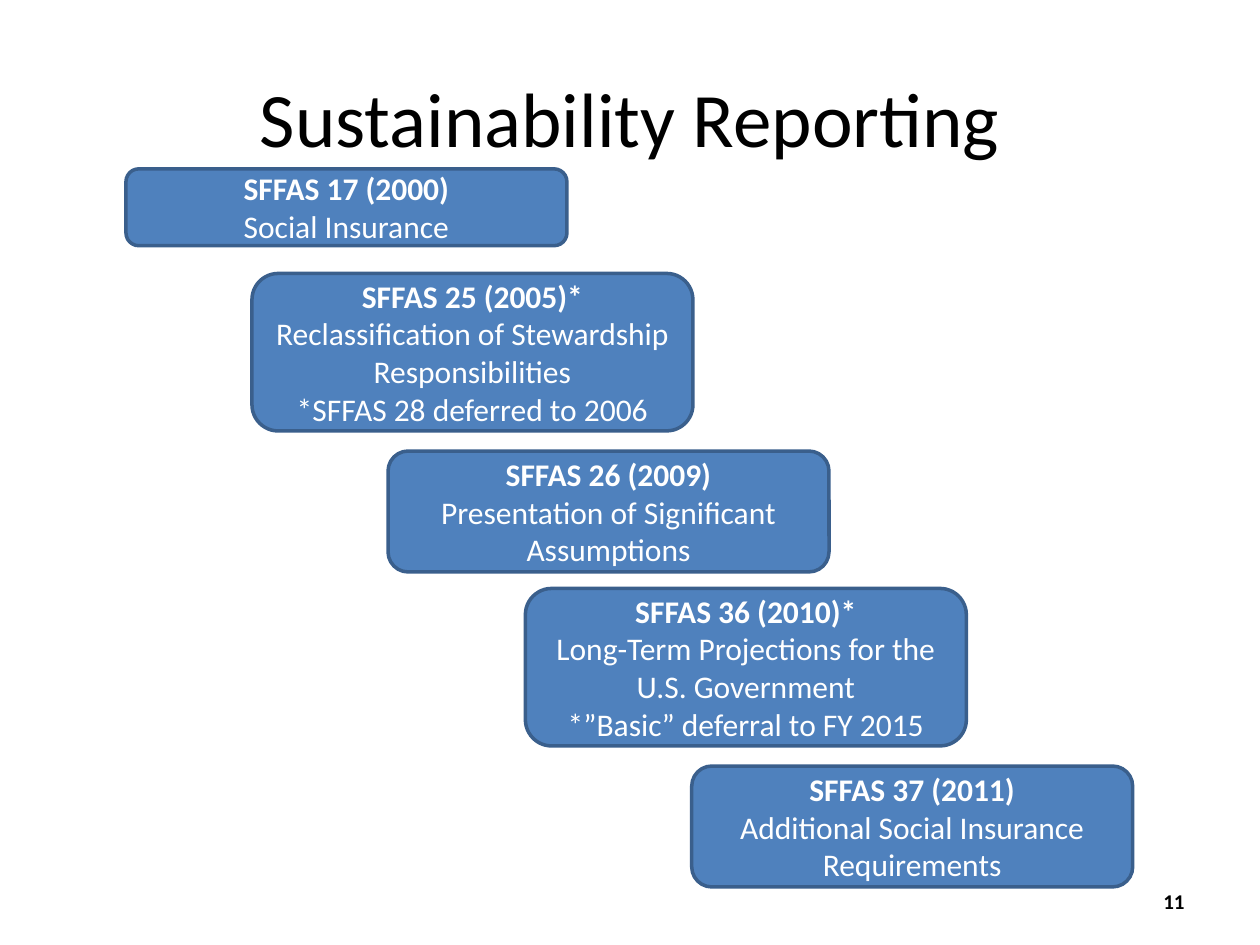
"""Build the Sustainability Reporting slide with its staircase of standards."""
import pptx
import pptx.dml.color
import pptx.enum.shapes
import pptx.enum.text
import pptx.util
from pptx.util import Inches

THEME = {
    "font": "Calibri",
    "text": "000000",
    "box_text": "FFFFFF",
    "box_fill": "4F81BD",
    "box_line": "3A5F8C",
    "title_size": 44,
    "box_size": 18,
    "number_size": 12,
}
RGB = pptx.dml.color.RGBColor.from_string
ALIGN = pptx.enum.text.PP_ALIGN


def add_text(p, text, size, color=THEME["text"], bold=False, align=ALIGN.CENTER):
    p.alignment = align
    r = p.add_run()
    r.text = text
    r.font.name = THEME["font"]
    r.font.size = pptx.util.Pt(size)
    r.font.bold = bold
    r.font.color.rgb = RGB(color)


prs = pptx.Presentation()
prs.slide_width, prs.slide_height = Inches(10), Inches(7.5)
s = prs.slides.add_slide(prs.slide_layouts[5])

title = s.shapes.title
title.left, title.top = Inches(0.5), Inches(0.3)
title.width, title.height = Inches(9), Inches(1.25)
tf = title.text_frame
tf.vertical_anchor = pptx.enum.text.MSO_ANCHOR.MIDDLE
add_text(tf.paragraphs[0], "Sustainability Reporting", THEME["title_size"])

number = s.shapes.add_textbox(Inches(7.17), Inches(6.95), Inches(2.33), Inches(0.4))
tf = number.text_frame
tf.word_wrap = True
tf.vertical_anchor = pptx.enum.text.MSO_ANCHOR.MIDDLE
add_text(tf.paragraphs[0], "11", THEME["number_size"], bold=True, align=ALIGN.RIGHT)

standards = [
    (1, 1.34, 0.61, ["SFFAS 17 (2000)", "Social Insurance"]),
    (2, 2.17, 1.25, ["SFFAS 25 (2005)*", "Reclassification of Stewardship Responsibilities",
                     "*SFFAS 28 deferred to 2006"]),
    (3.08, 3.58, 0.96, ["SFFAS 26 (2009)", "Presentation of Significant Assumptions"]),
    (4.17, 4.67, 1.25, ["SFFAS 36 (2010)*", "Long-Term Projections for the U.S. Government",
                        "*”Basic” deferral to FY 2015"]),
    (5.49, 6.08, 0.96, ["SFFAS 37 (2011)", "Additional Social Insurance Requirements"]),
]
for left, top, height, lines in standards:
    sp = s.shapes.add_shape(pptx.enum.shapes.MSO_SHAPE.ROUNDED_RECTANGLE,
                            Inches(left), Inches(top), Inches(3.5), Inches(height))
    sp.shadow.inherit = False
    sp.fill.solid()
    sp.fill.fore_color.rgb = RGB(THEME["box_fill"])
    sp.line.color.rgb = RGB(THEME["box_line"])
    sp.line.width = pptx.util.Pt(2)
    tf = sp.text_frame
    tf.word_wrap = True
    tf.vertical_anchor = pptx.enum.text.MSO_ANCHOR.MIDDLE
    for i, line in enumerate(lines):
        p = tf.add_paragraph() if i else tf.paragraphs[0]
        add_text(p, line, THEME["box_size"], THEME["box_text"], bold=i == 0)

prs.save("out.pptx")
